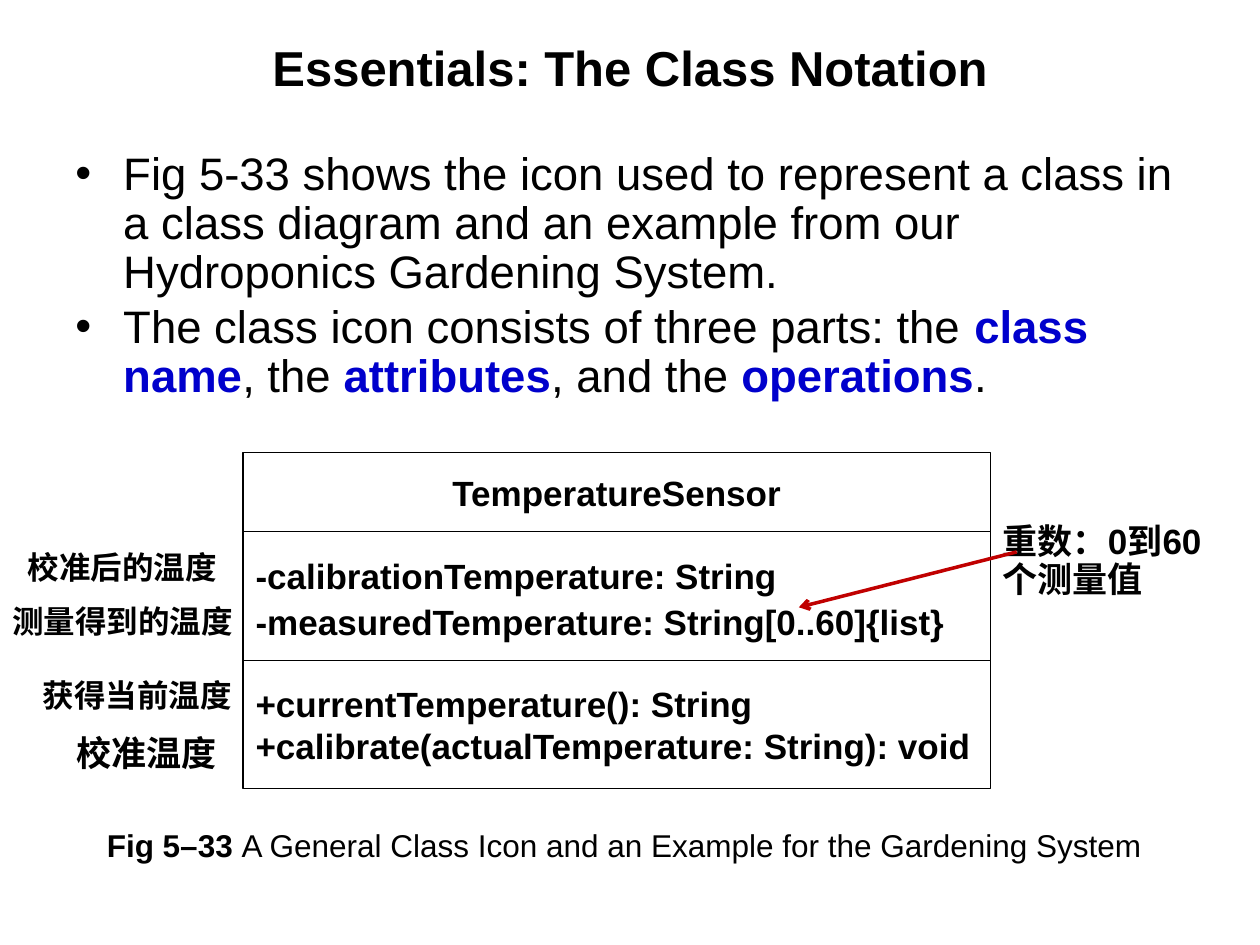
import pptx
import pptx.util
import pptx.dml.color
import pptx.enum.shapes
import pptx.enum.text
import pptx.oxml
import pptx.oxml.ns
from lxml import etree

Inches = pptx.util.Inches
Pt = pptx.util.Pt
ALIGN = pptx.enum.text.PP_ALIGN
ANCHOR = pptx.enum.text.MSO_ANCHOR
FIT = pptx.enum.text.MSO_AUTO_SIZE

COLORS = {"ink": "000000", "paper": "FFFFFF", "key": "0000CC", "arrow": "C00000"}
LATIN, HAN = "Arial", "Noto Sans CJK SC"


def color(name):
    return pptx.dml.color.RGBColor.from_string(COLORS[name])


def sub(parent, tag, **attrs):
    node = etree.SubElement(parent, pptx.oxml.ns.qn(tag))
    for key, value in attrs.items():
        node.set(key, value)
    return node


def place(shape, left, top, width, height):
    shape.left, shape.top = Inches(left), Inches(top)
    shape.width, shape.height = Inches(width), Inches(height)


def write(shape, paras, size, font=LATIN, bold=False, align=ALIGN.LEFT, anchor=ANCHOR.TOP,
          wrap=True, fit=FIT.NONE, line=None, before=0, bullet=False):
    """Fill a shape with paragraphs, each a list of (text, format changes)."""
    frame = shape.text_frame
    frame.word_wrap, frame.auto_size, frame.vertical_anchor = wrap, fit, anchor
    for i, runs in enumerate(paras):
        para = frame.add_paragraph() if i else frame.paragraphs[0]
        para.alignment, para.space_before = align, Pt(before)
        if line:
            para.line_spacing = line
        if bullet:
            props = para._p.get_or_add_pPr()
            props.set("marL", str(Inches(0.38)))
            props.set("indent", str(-Inches(0.38)))
            sub(props, "a:buFont", typeface=LATIN)
            sub(props, "a:buChar", char="•")
        for text, change in runs:
            run = para.add_run()
            run.text = text
            run.font.size, run.font.name = Pt(size), font
            run.font.bold = change.get("bold", bold)
            run.font.color.rgb = color(change.get("color", "ink"))
            sub(run._r.get_or_add_rPr(), "a:ea", typeface=HAN)


def label(shapes, box, paras, size, **style):
    shape = shapes.add_textbox(*map(Inches, box))
    write(shape, paras, size, **style)


def title(slide, box):
    shape = slide.shapes.title
    place(shape, *box)
    write(shape, [[("Essentials: The Class Notation", {})]], 28, bold=True,
          align=ALIGN.CENTER, anchor=ANCHOR.MIDDLE)


def points(slide, box):
    key = {"bold": True, "color": "key"}
    paras = [
        [("Fig 5-33 shows the icon used to represent a class in a class diagram "
          "and an example from our Hydroponics Gardening System.", {})],
        [("The class icon consists of three parts: the ", {}), ("class name", key),
         (", the ", {}), ("attributes", key), (", and the ", {}),
         ("operations", key), (".", {})],
    ]
    label(slide.shapes, box, paras, 26, line=0.9, before=3.3, bullet=True)


def icon(slide, left, top, width):
    """Stack the three parts of the class icon."""
    parts = [
        (0.63, ["TemperatureSensor"], {"align": ALIGN.CENTER}),
        (1.02, ["-calibrationTemperature: String",
                "-measuredTemperature: String[0..60]{list}"], {"line": 1.1}),
        (1.02, ["+currentTemperature(): String",
                "+calibrate(actualTemperature: String): void"], {}),
    ]
    for height, lines, style in parts:
        rect = slide.shapes.add_shape(pptx.enum.shapes.MSO_SHAPE.RECTANGLE,
                                      *map(Inches, (left, top, width, height)))
        rect.shadow.inherit = False
        rect.fill.solid()
        rect.fill.fore_color.rgb = color("paper")
        rect.line.color.rgb = color("ink")
        rect.line.width = Pt(0.75)
        write(rect, [[(text, {})] for text in lines], 20, bold=True,
              anchor=ANCHOR.MIDDLE, wrap=False, **style)
        top += height


def notes(slide, left, top):
    """Gloss the attributes and operations beside the icon."""
    rows = [
        ("校准后的温度", 0.12, 0, 2.05, 0.4, 18, 11.2),
        ("测量得到的温度", 0, 0.43, 2.09, 0.4, 18, 11.2),
        ("获得当前温度", 0.24, 1.02, 1.85, 0.4, 18, 11.2),
        ("校准温度", 0.51, 1.46, 1.34, 0.44, 20, 12.5),
    ]
    for text, dx, dy, width, height, size, before in rows:
        label(slide.shapes, (left + dx, top + dy, width, height), [[(text, {})]], size,
              font=HAN, bold=True, before=before, fit=FIT.SHAPE_TO_FIT_TEXT)


def callout(slide, left, top, width, height):
    """Explain the multiplicity, with an arrow back to the attribute."""
    group = slide.shapes.add_group_shape().shapes
    label(group, (left, top, width, height), [[("重数：0到60个测量值", {})]], 20,
          bold=True, line=0.9, fit=FIT.SHAPE_TO_FIT_TEXT)
    ends = (left + 0.21, top + 0.27, left - 1.52, top + 0.71)
    arrow = group.add_connector(pptx.enum.shapes.MSO_CONNECTOR.STRAIGHT, *map(Inches, ends))
    arrow.line.color.rgb = color("arrow")
    arrow.line.width = Pt(2)
    sub(arrow.line._get_or_add_ln(), "a:tailEnd", type="arrow")
    sub(arrow._element.spPr, "a:effectLst")


def caption(slide, box):
    runs = [("Fig 5–33 ", {"bold": True}),
            ("A General Class Icon and an Example for the Gardening System", {})]
    label(slide.shapes, box, [runs], 18, fit=FIT.SHAPE_TO_FIT_TEXT)


def main():
    deck = pptx.Presentation()
    deck.slide_width, deck.slide_height = Inches(10), Inches(7.5)
    slide = deck.slides.add_slide(deck.slide_layouts.get_by_name("Title Only"))
    title(slide, (0.5, 0.3, 9, 0.46))
    points(slide, (0.5, 1.15, 9, 2.13))
    icon(slide, 1.93, 3.59, 5.93)
    caption(slide, (0.75, 6.51, 8.66, 0.4))
    notes(slide, 0, 4.3)
    callout(slide, 7.86, 4.11, 1.79, 0.7)
    deck.save("out.pptx")


if __name__ == "__main__":
    main()
